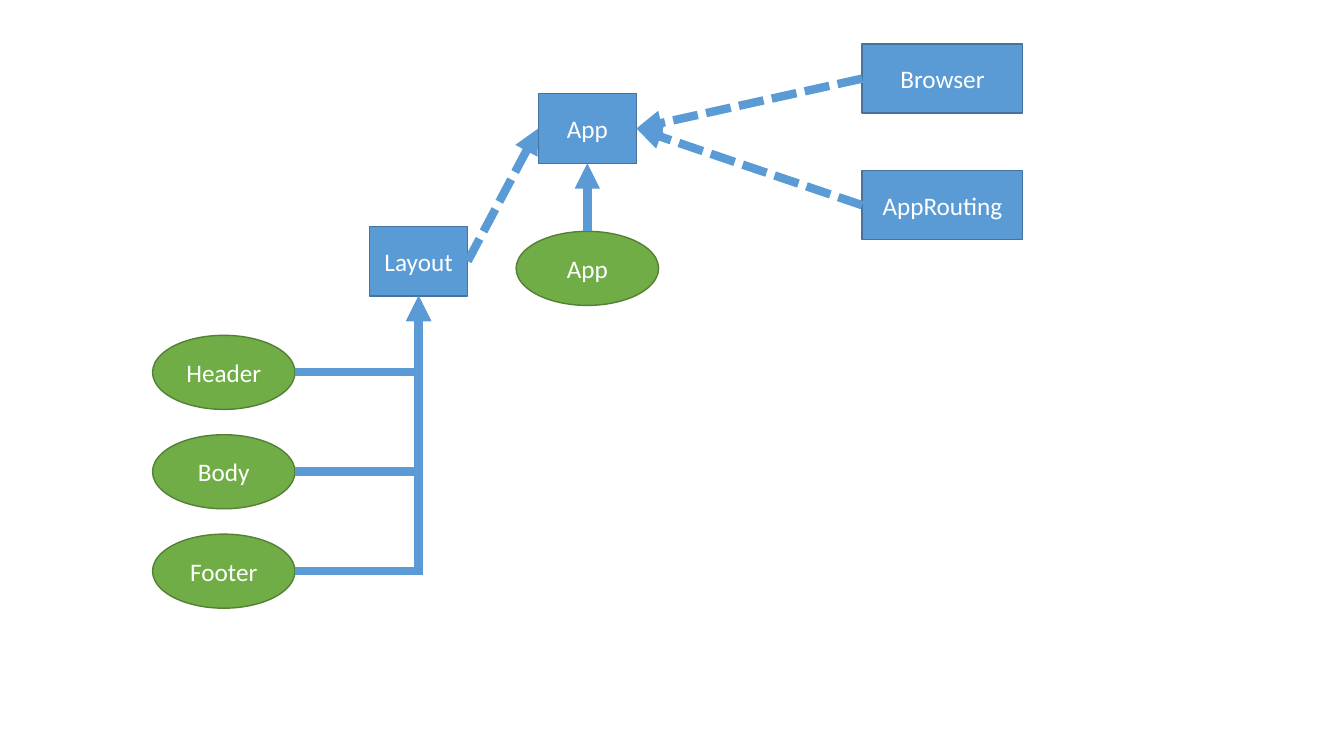
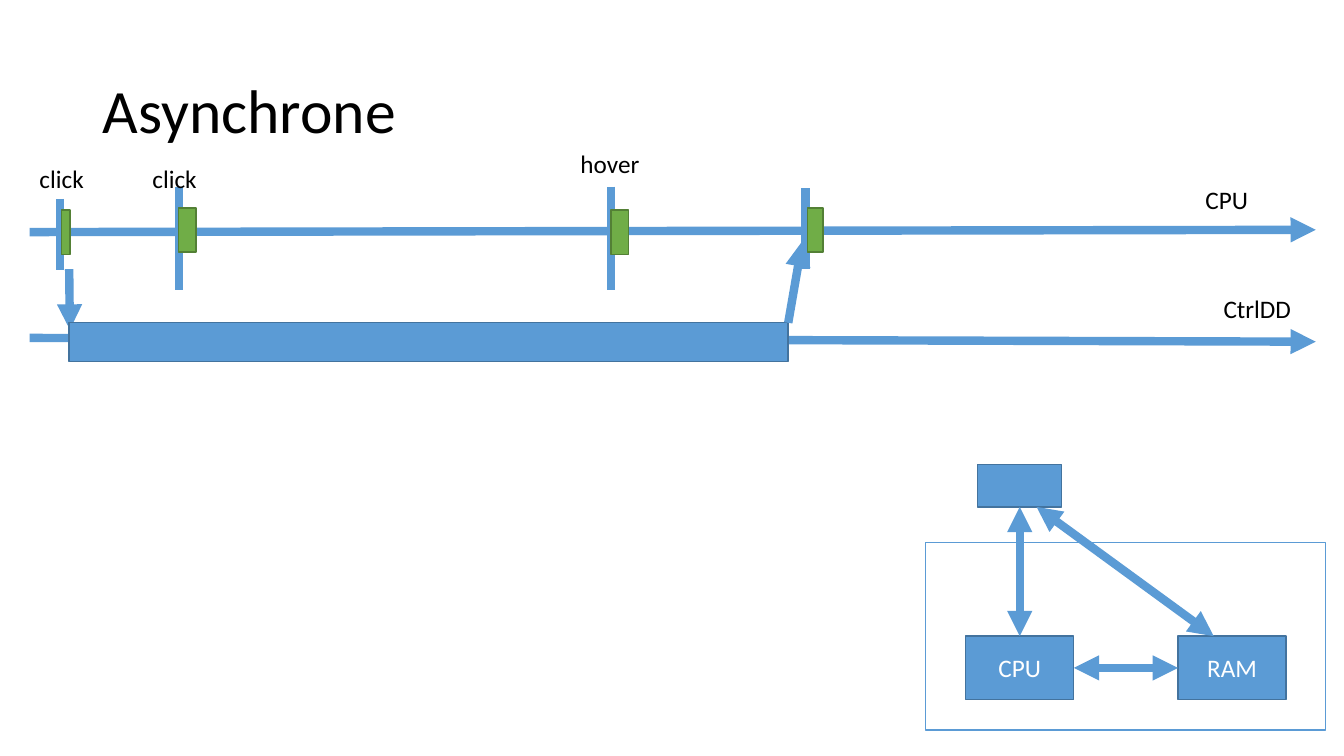
from dataclasses import dataclass

from lxml.etree import SubElement
from pptx import Presentation
from pptx.dml.color import RGBColor
from pptx.enum.dml import MSO_LINE
from pptx.enum.shapes import MSO_CONNECTOR, MSO_SHAPE
from pptx.enum.text import MSO_ANCHOR, MSO_AUTO_SIZE, PP_ALIGN
from pptx.oxml.ns import qn
from pptx.util import Inches, Pt

COLORS = {
    "blue": "5B9BD5", "blue_edge": "43739E",
    "green": "70AD47", "green_edge": "538035",
    "white": "FFFFFF", "black": "000000",
}
TITLE_ONLY, BLANK = 5, 6


def rgb(name):
    """Return the named palette colour."""
    return RGBColor.from_string(COLORS[name])


@dataclass
class Area:
    """A rectangle in percent of the slide's width and height."""
    x: float
    y: float
    w: float
    h: float

    def at(self, across, down):
        """Return the point at the given fractions of the area."""
        return self.x + self.w * across, self.y + self.h * down


class Deck:
    """Shared style and the slide being drawn; lengths are percentages."""
    font, text_size, title_size = "Calibri", 18, 44
    edge_width, arrow_width = 1, 6

    def __init__(self):
        """Start a widescreen presentation."""
        self.show = Presentation()
        self.show.slide_width = Inches(13.33)
        self.show.slide_height = Inches(7.5)
        self.slide = None

    def new_slide(self, layout):
        """Add a slide and make it current."""
        self.slide = self.show.slides.add_slide(self.show.slide_layouts[layout])

    def point(self, x, y):
        """Turn a pair of percentages into slide lengths."""
        return (round(self.show.slide_width * x / 100),
                round(self.show.slide_height * y / 100))

    def bounds(self, area):
        """Return left, top, width and height of an area."""
        return *self.point(area.x, area.y), *self.point(area.w, area.h)

    def add_text(self, paragraph, text, size, color):
        """Add one formatted run."""
        run = paragraph.add_run()
        run.text = text
        run.font.name = self.font
        run.font.size = Pt(size)
        run.font.color.rgb = rgb(color)

    def title(self, text, area):
        """Place and fill the title placeholder."""
        heading = self.slide.shapes.title
        heading.left, heading.top, heading.width, heading.height = self.bounds(area)
        frame = heading.text_frame
        frame.vertical_anchor = MSO_ANCHOR.MIDDLE
        frame.auto_size = MSO_AUTO_SIZE.NONE
        paragraph = frame.paragraphs[0]
        paragraph.alignment = PP_ALIGN.LEFT
        paragraph.line_spacing = 0.9
        self.add_text(paragraph, text, self.title_size, "black")

    def label(self, text, area):
        """Add a single-line black caption."""
        frame = self.slide.shapes.add_textbox(*self.bounds(area)).text_frame
        frame.word_wrap = False
        frame.auto_size = MSO_AUTO_SIZE.SHAPE_TO_FIT_TEXT
        self.add_text(frame.paragraphs[0], text, self.text_size, "black")

    def node(self, area, text="", fill="blue", edge=None, kind=MSO_SHAPE.RECTANGLE):
        """Add a filled shape with optional centred text; return its area."""
        shape = self.slide.shapes.add_shape(kind, *self.bounds(area))
        shape.shadow.inherit = False
        shape.fill.solid()
        shape.fill.fore_color.rgb = rgb(fill)
        shape.line.color.rgb = rgb(edge or f"{fill}_edge")
        shape.line.width = Pt(self.edge_width)
        if text:
            frame = shape.text_frame
            frame.vertical_anchor = MSO_ANCHOR.MIDDLE
            frame.paragraphs[0].alignment = PP_ALIGN.CENTER
            self.add_text(frame.paragraphs[0], text, self.text_size, "white")
        return area

    def oval(self, area, text):
        """Add a green component oval."""
        return self.node(area, text, "green", kind=MSO_SHAPE.OVAL)

    def link(self, start, end, heads=("tailEnd",), dashed=False, bent=False):
        """Join two points by a thick line with the given arrowheads."""
        route = MSO_CONNECTOR.ELBOW if bent else MSO_CONNECTOR.STRAIGHT
        connector = self.slide.shapes.add_connector(
            route, *self.point(*start), *self.point(*end))
        connector.line.color.rgb = rgb("blue")
        connector.line.width = Pt(self.arrow_width)
        if dashed:
            connector.line.dash_style = MSO_LINE.SQUARE_DOT
        properties = connector._element.spPr
        if bent:
            properties.find(qn("a:prstGeom")).set("prst", "bentConnector2")
        outline = properties.find(qn("a:ln"))
        SubElement(outline, qn("a:miter"), lim="800000")
        for head in heads:
            SubElement(outline, qn(f"a:{head}"), type="triangle")
        SubElement(properties, qn("a:effectLst"))


def draw_components(deck):
    """Draw the module and component tree."""
    deck.new_slide(BLANK)
    app = deck.node(Area(40.05, 12.4, 7.3, 9.2), "App")
    root = deck.oval(Area(38.4, 30.6, 10.6, 9.8), "App")
    deck.link(root.at(0.5, 0), app.at(0.5, 1))

    for row, module in enumerate(("Browser", "AppRouting")):
        imported = deck.node(Area(64.15, 5.85 + 16.75 * row, 11.95, 9.1), module)
        deck.link(imported.at(0, 0.5), app.at(1, 0.5), dashed=True)

    layout = deck.node(Area(27.5, 29.95, 7.3, 9.2), "Layout")
    for row, part in enumerate(("Header", "Body", "Footer")):
        section = deck.oval(Area(11.35, 44.35 + 13.15 * row, 10.6, 9.8), part)
        deck.link(section.at(1, 0.5), layout.at(0.5, 1), bent=True)
    deck.link(layout.at(1, 0.5), app.at(0, 0.5), dashed=True)


def draw_timeline(deck):
    """Draw the asynchronous timeline and the hardware sketch."""
    deck.new_slide(TITLE_ONLY)
    deck.title("Asynchrone", Area(6.9, 5.3, 86.25, 19.35))
    both = ("headEnd", "tailEnd")

    deck.link((2.2, 30.7), (97.9, 30.4))
    deck.link((2.2, 44.7), (97.9, 45.2))
    deck.link((5.15, 35.6), (5.2, 43.6))
    transfer = deck.node(Area(5.15, 42.7, 53.5, 5.1))
    deck.link(transfer.at(1, 0), (59.7, 31.9))

    events = (  # tick x, top, bottom; task x, top, width
        (4.45, 26.3, 35.7, 4.6, 27.8, 0.6),
        (13.3, 24.7, 38.3, 13.3, 27.5, 1.3),
        (45.45, 24.7, 38.3, 45.45, 27.8, 1.3),
        (59.95, 24.9, 35.6, 60.1, 27.5, 1.15),
    )
    for tick, top, bottom, task, task_top, width in events:
        deck.link((tick, top), (tick, bottom), heads=())
        deck.node(Area(task, task_top, width, 5.85), fill="green")

    captions = (
        ("click", 2.2, 20.95, 4.9), ("click", 10.6, 20.95, 4.9),
        ("hover", 42.45, 18.9, 5.95),
        ("CPU", 88.95, 23.7, 4.75), ("CtrlDD", 90.3, 38.2, 6.6),
    )
    for text, x, y, width in captions:
        deck.label(text, Area(x, y, width, 5.4))

    deck.node(Area(68.85, 71.75, 29.8, 24.8), fill="white", edge="blue")
    cpu, ram = (deck.node(Area(x, 84.15, 8.05, 8.4), text)
                for x, text in ((71.85, "CPU"), (87.65, "RAM")))
    controller = deck.node(Area(72.75, 61.45, 6.25, 5.6))
    deck.link(cpu.at(1, 0.5), ram.at(0, 0.5), both)
    deck.link(cpu.at(0.5, 0), controller.at(0.5, 1), both)
    deck.link(controller.at(0.7, 1), ram.at(0.33, 0), both)


deck = Deck()
draw_components(deck)
draw_timeline(deck)
deck.show.save("out.pptx")
